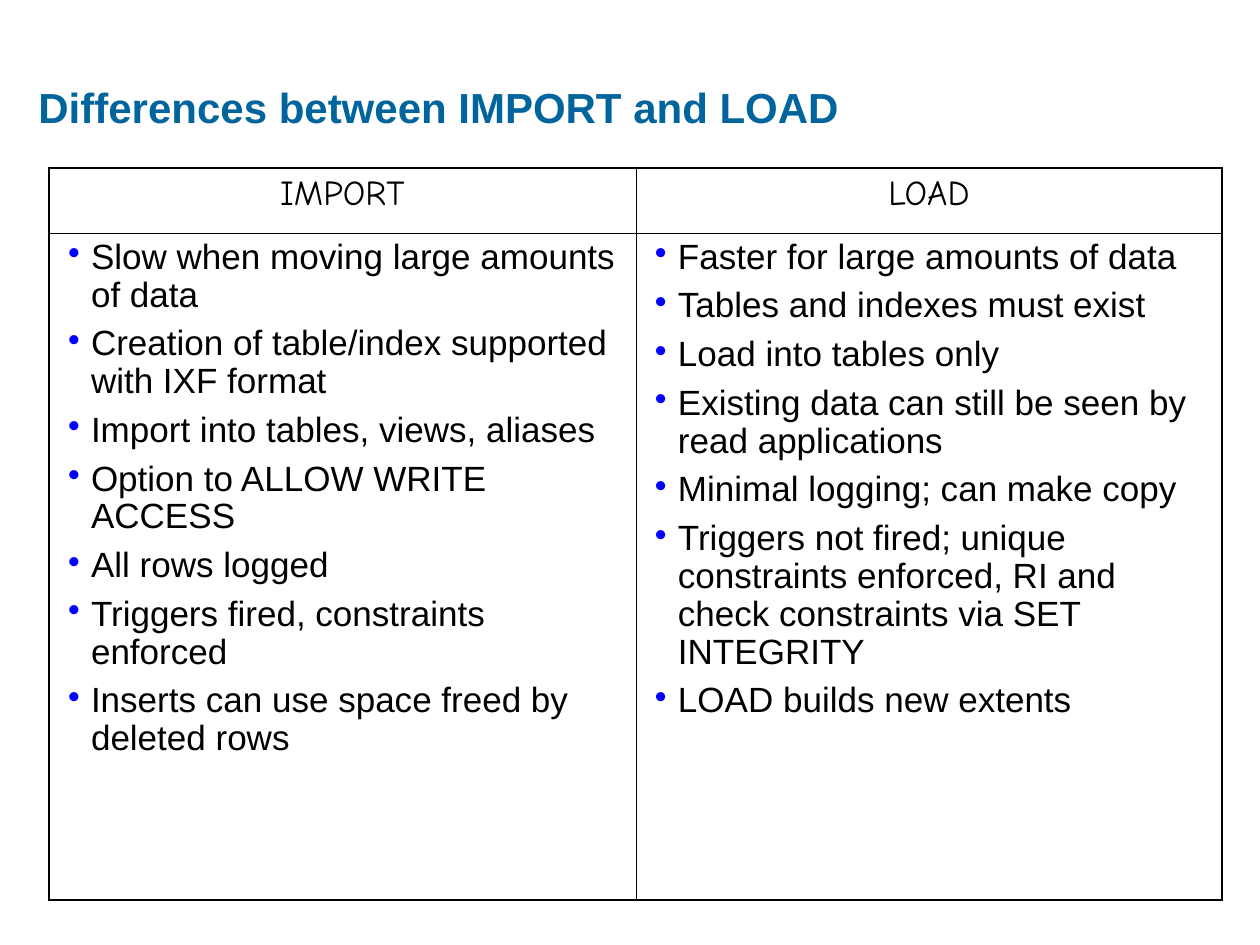
from lxml.etree import SubElement
from pptx import Presentation
from pptx.dml.color import RGBColor
from pptx.enum.text import MSO_ANCHOR as Anchor, PP_ALIGN as Align
from pptx.oxml import parse_xml
from pptx.oxml.ns import qn, nsdecls
from pptx.util import Pt

PX = 914400 // 126
THIN, THICK = 0.45, 1.08


def color(code):
    return RGBColor.from_string(code)


def write(para, text, name, size, code, bold=False):
    run = para.add_run()
    run.text = text
    for key, value in {"name": name, "size": Pt(size), "bold": bold}.items():
        setattr(run.font, key, value)
    run.font.color.rgb = color(code)


deck = Presentation()
deck.slide_width, deck.slide_height = 1260 * PX, 945 * PX
slide = deck.slides.add_slide(deck.slide_layouts[6])

columns = {
    "IMPORT": [
        "Slow when moving large amounts of data",
        "Creation of table/index supported with IXF format",
        "Import into tables, views, aliases",
        "Option to ALLOW WRITE ACCESS",
        "All rows logged",
        "Triggers fired, constraints enforced",
        "Inserts can use space freed by deleted rows",
    ],
    "LOAD": [
        "Faster for large amounts of data",
        "Tables and indexes must exist",
        "Load into tables only",
        "Existing data can still be seen by read applications",
        "Minimal logging; can make copy",
        "Triggers not fired; unique constraints enforced, RI and check constraints via SET INTEGRITY",
        "LOAD builds new extents",
    ],
}

table = slide.shapes.add_table(2, 2, 49 * PX, 168 * PX, 1173 * PX, 732 * PX).table
for key in ("first_row", "horz_banding"):
    setattr(table, key, False)
for col, width in zip(table.columns, (587, 586)):
    col.width = width * PX
for row, height in zip(table.rows, (65, 667)):
    row.height = height * PX

inset = {"margin_left": 19, "margin_right": 19, "margin_top": 6, "margin_bottom": 6}
for x, (head, points) in enumerate(columns.items()):
    for y, lines in enumerate(([head], points)):
        cell = table.cell(y, x)
        for key, value in inset.items():
            setattr(cell, key, value * PX)
        cell.fill.background()
        edges = {"L": x == 0, "R": x == 1, "T": y == 0, "B": y == 1}
        for spot, (side, outer) in enumerate(edges.items()):
            width = Pt(THICK if outer else THIN)
            line = parse_xml(
                f'<a:ln{side} {nsdecls("a")} w="{width}"><a:solidFill>'
                f'<a:srgbClr val="000000"/></a:solidFill></a:ln{side}>'
            )
            cell._tc.get_or_add_tcPr().insert(spot, line)
        frame = cell.text_frame
        for n, text in enumerate(lines):
            para = frame.add_paragraph() if n else frame.paragraphs[0]
            para.space_after = Pt(6.2)
            if y:
                para.line_spacing = 0.97
                props = para._p.get_or_add_pPr()
                props.set("marL", str(23 * PX))
                props.set("indent", str(-23 * PX))
                tint = SubElement(props, qn("a:buClr"))
                SubElement(tint, qn("a:srgbClr"), val="0000FF")
                SubElement(props, qn("a:buChar"), char="•")
            else:
                para.alignment = Align.CENTER
            write(para, text, "Arial" if y else "Comic Neue", 20, "000000")

title = slide.shapes.add_textbox(26 * PX, 47 * PX, 1220 * PX, 120 * PX).text_frame
for key, value in {"word_wrap": True, "vertical_anchor": Anchor.MIDDLE}.items():
    setattr(title, key, value)
write(title.paragraphs[0], "Differences between IMPORT and LOAD", "Arial", 24, "00649D", True)

deck.save("out.pptx")
